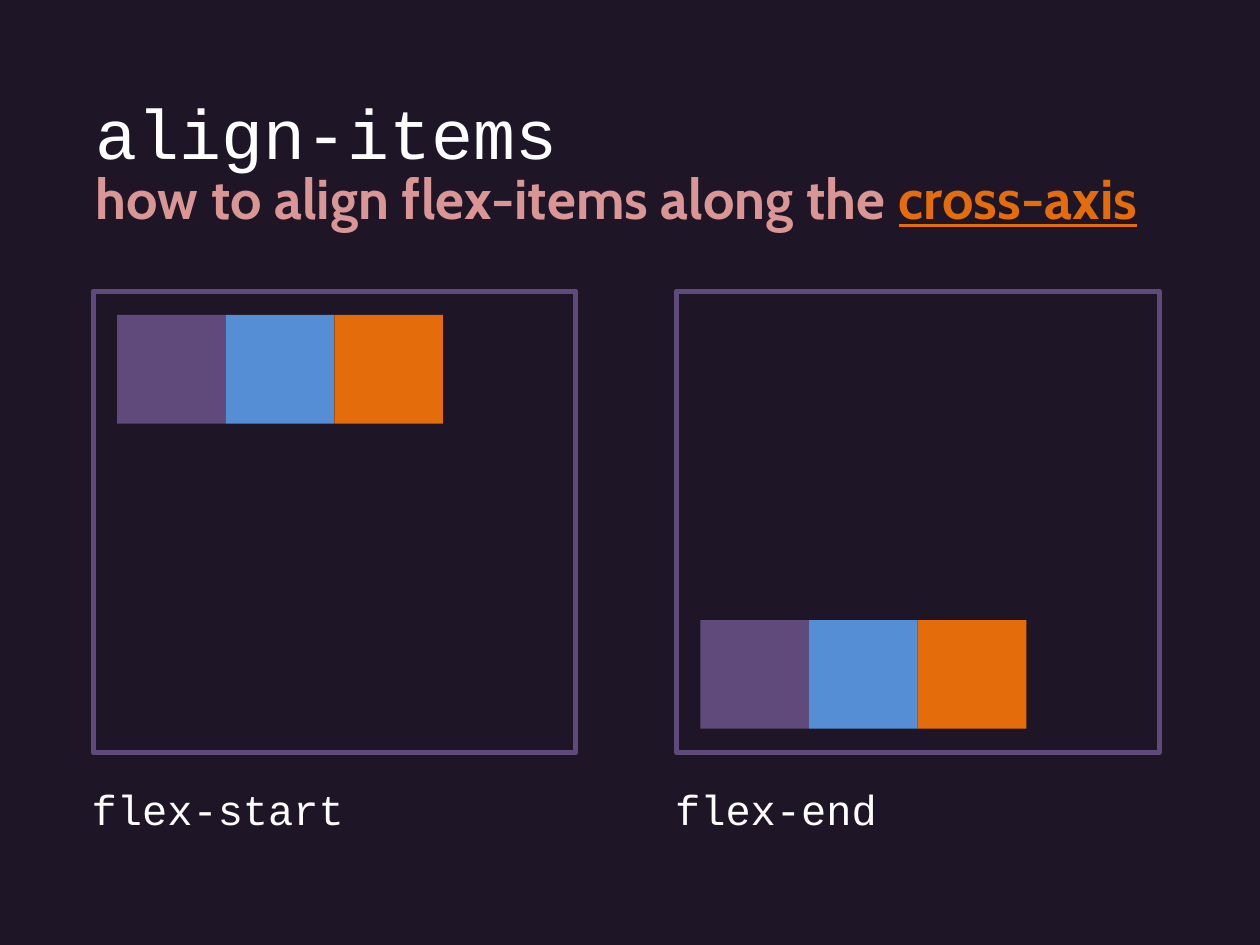
import pptx
import pptx.dml.color
import pptx.enum.shapes
import pptx.enum.text
import pptx.util

Cm = pptx.util.Cm
Pt = pptx.util.Pt

COLORS = {
    "background": "1E1526",
    "text": "FFFFFF",
    "subtitle": "D99694",
    "purple": "604A7B",
    "blue": "558ED5",
    "orange": "E46C0A",
}
ITEM_COLORS = ("purple", "blue", "orange")
ITEM_SIZE = 2.19
ITEM_INSET = 0.48


def rgb(name):
    return pptx.dml.color.RGBColor.from_string(COLORS[name])


def place(sp, x, y, w, h):
    sp.left, sp.top, sp.width, sp.height = Cm(x), Cm(y), Cm(w), Cm(h)


def write(sp, text, font, size, color):
    tf = sp.text_frame
    tf.word_wrap = True
    tf.auto_size = pptx.enum.text.MSO_AUTO_SIZE.NONE
    tf.vertical_anchor = pptx.enum.text.MSO_ANCHOR.TOP
    p = tf.paragraphs[0]
    p.text = text
    p.alignment = pptx.enum.text.PP_ALIGN.LEFT
    p.font.name = font
    p.font.size = Pt(size)
    p.font.color.rgb = rgb(color)
    return p


def add_text(s, x, y, w, h, *style):
    sp = s.shapes.add_textbox(Cm(x), Cm(y), Cm(w), Cm(h))
    return write(sp, *style)


def add_rect(s, x, y, w, h, fill=None, line=None):
    sp = s.shapes.add_shape(
        pptx.enum.shapes.MSO_SHAPE.RECTANGLE, Cm(x), Cm(y), Cm(w), Cm(h))
    sp.shadow.inherit = False
    if fill:
        sp.fill.solid()
        sp.fill.fore_color.rgb = rgb(fill)
    else:
        sp.fill.background()
    if line:
        sp.line.color.rgb = rgb(line)
        sp.line.width = Pt(3)
    else:
        sp.line.fill.background()


def add_heading(s, x, y, w):
    title = s.shapes.title
    place(title, x, y, w, 1.96)
    write(title, "align-items", "Courier New", 40, "text")
    p = add_text(s, x, y + 1.5, w, 1.63,
                 "how to align flex-items along the ", "Cabin", 32, "subtitle")
    p.font.bold = True
    r = p.add_run()
    r.text = "cross-axis"
    r.font.underline = True
    r.font.color.rgb = rgb("orange")


def add_panel(s, x, y, w, h, label, at_end):
    item_y = y + (h - ITEM_INSET - ITEM_SIZE if at_end else ITEM_INSET)
    for i, color in enumerate(ITEM_COLORS):
        add_rect(s, x + ITEM_INSET + i * ITEM_SIZE, item_y,
                 ITEM_SIZE, ITEM_SIZE, fill=color)
    add_rect(s, x, y, w, h, line="purple")
    add_text(s, x - 0.28, y + h + 0.5, 5.89, 1.27,
             label, "Courier New", 24, "text")


def main():
    prs = pptx.Presentation()
    prs.slide_width, prs.slide_height = Cm(25.4), Cm(19.05)
    s = prs.slides.add_slide(prs.slide_layouts.get_by_name("Title Only"))
    s.background.fill.solid()
    s.background.fill.fore_color.rgb = rgb("background")
    add_heading(s, 1.68, 1.68, 22.07)
    add_panel(s, 1.88, 5.87, 9.73, 9.3, "flex-start", False)
    add_panel(s, 13.64, 5.87, 9.73, 9.3, "flex-end", True)
    prs.save("out.pptx")


if __name__ == "__main__":
    main()
